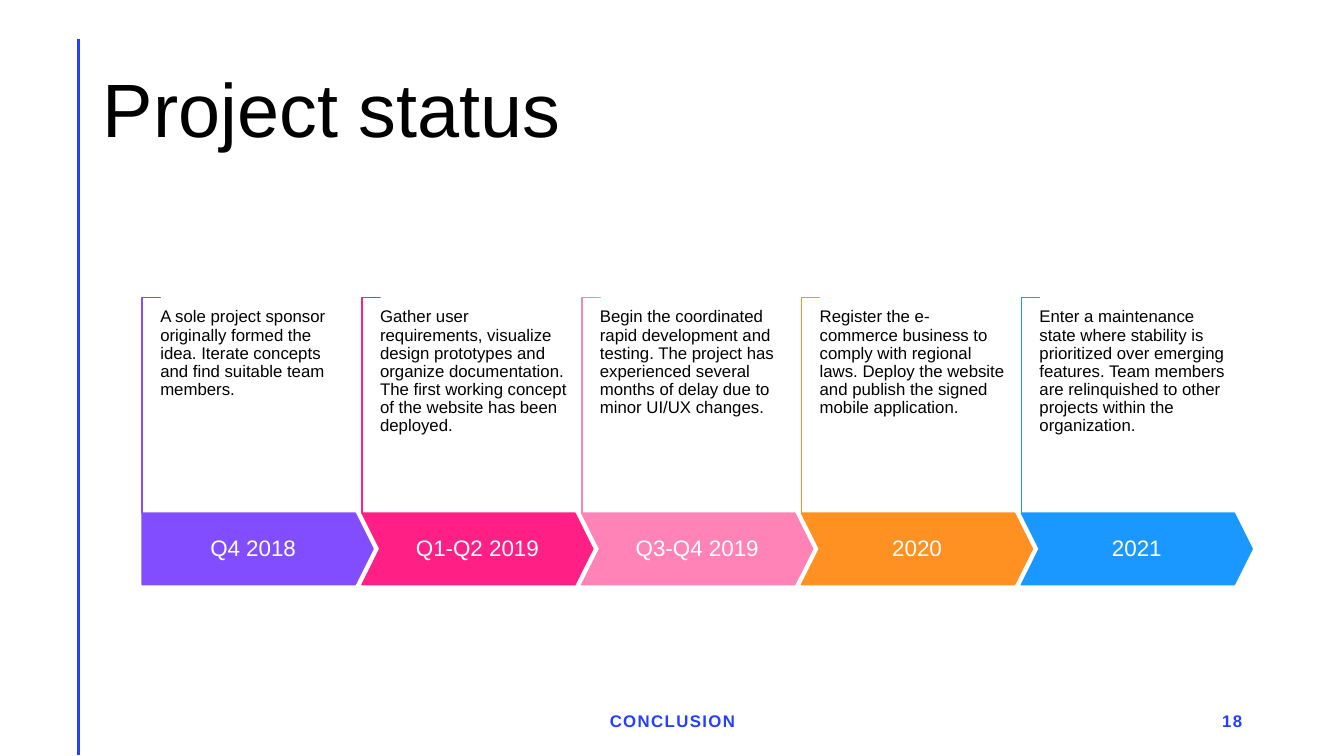
from lxml import etree
from pptx import Presentation
from pptx.dml.color import RGBColor
from pptx.enum import shapes, text
from pptx.oxml.ns import qn
from pptx.util import Inches, Pt

BLUE, BLACK, WHITE = "243FFF", "000000", "FFFFFF"
SHAPE, ALIGN = shapes.MSO_SHAPE, text.PP_ALIGN
PHASES = [
    ("Q4 2018", "814DFF", "A sole project sponsor originally formed the idea. "
     "Iterate concepts and find suitable team members."),
    ("Q1-Q2 2019", "FF1F85", "Gather user requirements, visualize design prototypes and organize "
     "documentation. The first working concept of the website has been deployed."),
    ("Q3-Q4 2019", "FF83B6", "Begin the coordinated rapid development and testing. The project has "
     "experienced several months of delay due to minor UI/UX changes."),
    ("2020", "FF9022", "Register the e-commerce business to comply with regional laws. "
     "Deploy the website and publish the signed mobile application."),
    ("2021", "1A98FF", "Enter a maintenance state where stability is prioritized over emerging "
     "features. Team members are relinquished to other projects within the organization."),
]
LEFT, STEP = 1.41, 2.18
BRACKET_W, BRACKET_H = 0.18, 2.14
BRACKET_TOP, ARROW_TOP = 2.95, 5.09


def rgb(value):
    return RGBColor.from_string(value)


def write(sp, words, size, color, align, anchor=text.MSO_ANCHOR.MIDDLE, inset=None, spacing=None):
    """Put one formatted paragraph in a shape and return it."""
    tf = sp.text_frame
    tf.word_wrap = True
    tf.auto_size = text.MSO_AUTO_SIZE.NONE
    tf.vertical_anchor = anchor
    if inset is not None:
        tf.margin_left = tf.margin_right = tf.margin_top = tf.margin_bottom = Inches(inset)
    tf.text = words
    p = tf.paragraphs[0]
    p.alignment = align
    p.line_spacing = spacing
    p.font.name, p.font.size, p.font.color.rgb = "Arial", Pt(size), rgb(color)
    return p


prs = Presentation()
prs.slide_width, prs.slide_height = Inches(13.33), Inches(7.5)
s = prs.slides.add_slide(prs.slide_layouts[5])

rule = s.shapes.add_connector(shapes.MSO_CONNECTOR.STRAIGHT,
                              Inches(0.78), Inches(0.39), Inches(0.78), Inches(7.49))
rule.line.color.rgb, rule.line.width = rgb(BLUE), Pt(2)
etree.SubElement(rule._element.spPr, qn("a:effectLst"))

title = s.shapes.title
title.left, title.top, title.width, title.height = map(Inches, (0.92, 0.4, 11.5, 1.45))
write(title, "Project status", 54, BLACK, ALIGN.LEFT, spacing=0.9)

for i, (period, color, summary) in enumerate(PHASES):
    x = LEFT + i * STEP

    # The corner lies on its side, so its box is turned about its centre
    bracket = s.shapes.add_shape(
        SHAPE.CORNER, Inches(x + (BRACKET_W - BRACKET_H) / 2),
        Inches(BRACKET_TOP + (BRACKET_H - BRACKET_W) / 2), Inches(BRACKET_H), Inches(BRACKET_W))
    bracket.rotation = 90
    bracket.adjustments[0] = bracket.adjustments[1] = 0.01

    arrow = s.shapes.add_shape(SHAPE.CHEVRON if i else SHAPE.PENTAGON, Inches(x),
                               Inches(ARROW_TOP), Inches(2.29), Inches(0.71))
    arrow.adjustments[0] = 0.25
    write(arrow, period, 16, WHITE, ALIGN.CENTER, inset=0, spacing=0.9)

    for sp, fill in ((bracket, WHITE), (arrow, color)):
        sp.shadow.inherit = False
        sp.fill.solid()
        sp.fill.fore_color.rgb = rgb(fill)
        sp.line.color.rgb, sp.line.width = rgb(color), Pt(1)

    note = s.shapes.add_textbox(Inches(x + BRACKET_W), Inches(3.06), Inches(1.86), Inches(1.5))
    write(note, summary, 12, BLACK, ALIGN.LEFT, text.MSO_ANCHOR.TOP, 0, 0.9)

for words, x, width, align in (("CONCLUSION", 4.42, 4.5, ALIGN.CENTER),
                               ("18", 9.42, 3, ALIGN.RIGHT)):
    footer = s.shapes.add_textbox(Inches(x), Inches(6.95), Inches(width), Inches(0.4))
    p = write(footer, words, 12, BLUE, align)
    p.font.bold = True
    p.runs[0].font._element.set("spc", "100")

prs.save("out.pptx")
